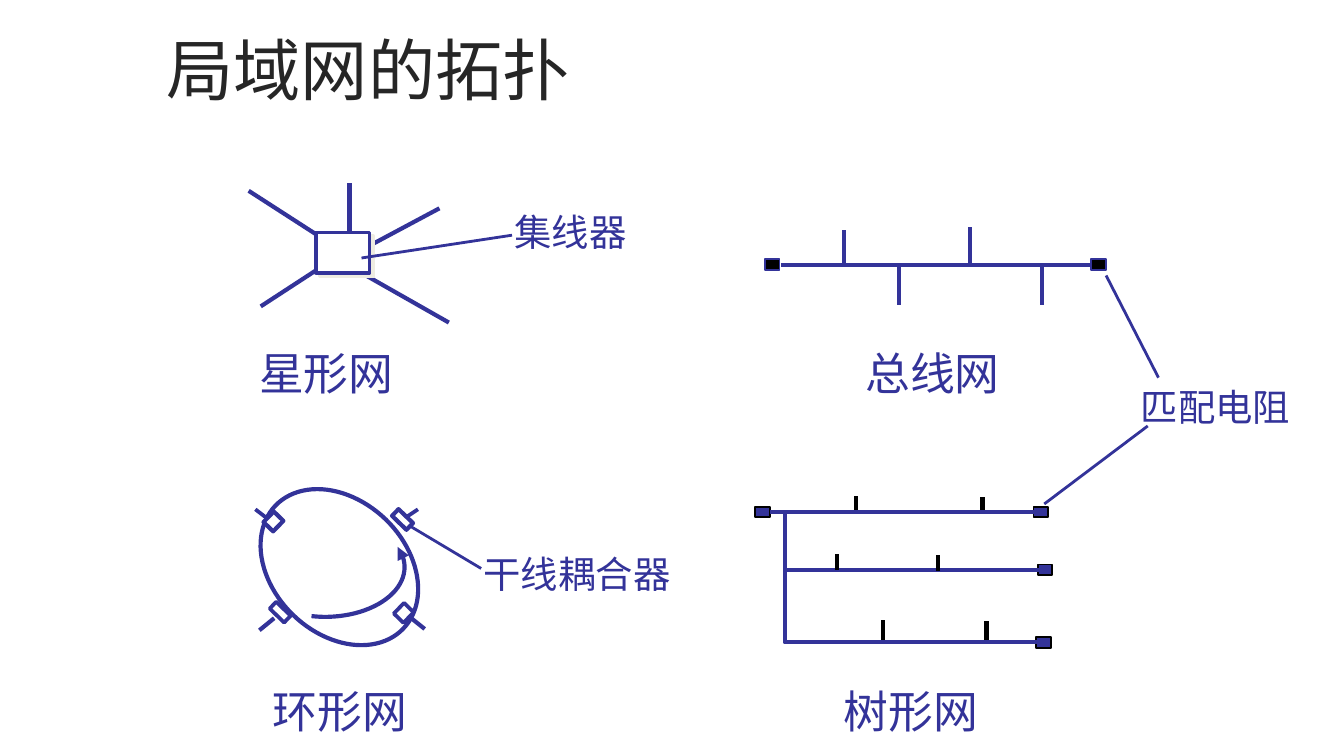
from math import cos, radians, sin

from lxml import etree
from pptx import Presentation
from pptx.dml.color import RGBColor
from pptx.enum.shapes import MSO_CONNECTOR as Connector, MSO_SHAPE as Shape
from pptx.enum.text import MSO_ANCHOR as Anchor, MSO_AUTO_SIZE as AutoSize
from pptx.oxml.ns import qn
from pptx.util import Inches, Pt

COLORS = {"title": "262626", "blue": "333399", "black": "000000",
          "white": "FFFFFF", "shadow": "EEECE1"}
SERIF = "Times New Roman"
SANS = "Noto Sans CJK SC"
PAGE_WIDTH = 10
PAGE_HEIGHT = PAGE_WIDTH * 9 / 16
TILT = 314
BUS_Y = 1.97
TRUNK_X = 5.84
BRANCH_Y = (3.81, 4.24, 4.78)


def color(name):
    return RGBColor.from_string(COLORS[name])


def set_line(shape, name, width):
    shape.line.color.rgb = color(name)
    shape.line.width = Pt(width)


def add_text(page, text, left, top, width, height, *, size, font,
             ink="blue", wrap=False, anchor=Anchor.TOP):
    box = page.shapes.add_textbox(*map(Inches, (left, top, width, height)))
    frame = box.text_frame
    frame.word_wrap = wrap
    frame.auto_size = AutoSize.NONE if wrap else AutoSize.SHAPE_TO_FIT_TEXT
    frame.vertical_anchor = anchor
    span = frame.paragraphs[0].add_run()
    span.text = text
    span.font.size = Pt(size)
    span.font.name = font
    span.font.color.rgb = color(ink)


def add_line(page, start, end, ink="blue", width=2.25):
    line = page.shapes.add_connector(
        Connector.STRAIGHT, *map(Inches, (*start, *end)))
    set_line(line, ink, width)
    etree.SubElement(line._element.spPr, qn("a:effectLst"))


def add_block(page, left, top, width, height, *, kind=Shape.RECTANGLE,
              fill="white", ink="blue", weight=2.25, rotation=0):
    block = page.shapes.add_shape(
        kind, *map(Inches, (left, top, width, height)))
    block.shadow.inherit = False
    block.rotation = rotation
    block.fill.solid()
    block.fill.fore_color.rgb = color(fill)
    set_line(block, ink, weight)
    return block


def add_path(page, points):
    """Draw an open, unfilled outline through the points."""
    start, *rest = [(Inches(x), Inches(y)) for x, y in points]
    builder = page.shapes.build_freeform(*start, scale=1.0)
    builder.add_line_segments(rest, close=False)
    outline = builder.convert_to_shape()
    outline.shadow.inherit = False
    outline.fill.background()
    set_line(outline, "blue", 2.25)
    return outline


def add_hard_shadow(shape):
    effects = shape._element.spPr.find(qn("a:effectLst"))
    shadow = etree.SubElement(effects, qn("a:outerShdw"), dist=str(Pt(2.8)),
                              dir="2700000", algn="ctr", rotWithShape="0")
    etree.SubElement(shadow, qn("a:srgbClr"), val=COLORS["shadow"])


def add_arrowhead(shape):
    etree.SubElement(shape.line._get_or_add_ln(), qn("a:tailEnd"),
                     type="triangle")


def draw_star(page):
    spokes = [((2.44, 1.8), (1.85, 1.42)), ((2.6, 1.8), (2.6, 1.36)),
              ((2.4, 1.98), (1.94, 2.28)), ((2.6, 1.98), (3.34, 2.4)),
              ((2.69, 1.86), (3.27, 1.55))]
    for start, end in spokes:
        add_line(page, start, end)
    add_hard_shadow(add_block(page, 2.35, 1.73, 0.4, 0.3, weight=2))
    add_line(page, (2.69, 1.92), (3.81, 1.75), width=1.5)


def draw_bus(page):
    add_line(page, (5.81, BUS_Y), (8.17, BUS_Y))
    for left in (5.69, 8.12):
        add_block(page, left, 1.93, 0.11, 0.08, fill="black", weight=1)
    for x, end in ((6.28, 1.71), (6.69, 2.27), (7.22, 1.69), (7.75, 2.27)):
        add_line(page, (x, BUS_Y), (x, end))


def draw_tree(page):
    top, middle, bottom = BRANCH_Y
    for left, y in ((5.62, top), (7.69, top), (7.72, middle), (7.71, bottom)):
        add_block(page, left, y - 0.04, 0.11, 0.08,
                  fill="blue", ink="black", weight=1)
    add_line(page, (TRUNK_X, middle), (7.8, middle))
    taps = [(6.37, 3.8, 0.11), (7.31, 3.81, 0.11), (6.23, middle, 0.12),
            (6.98, 4.25, 0.12), (6.57, bottom, 0.17), (7.34, bottom, 0.16)]
    for x, y, length in taps:
        add_line(page, (x, y), (x, y - length), ink="black")
    add_line(page, (5.73, top), (7.72, top))
    add_path(page, [(TRUNK_X, top), (TRUNK_X, bottom), (7.74, bottom)])


def draw_ring(page):
    stubs = [((2.03, 3.89), (1.9, 3.79), 2), ((3.11, 3.79), (2.99, 3.87), 2),
             ((3.16, 4.68), (3.01, 4.56), 2.25),
             ((2.04, 4.6), (1.93, 4.69), 2.25)]
    for start, end, width in stubs:
        add_line(page, start, end, width=width)
    add_block(page, 2.03, 3.56, 0.99, 1.32, kind=Shape.OVAL, rotation=TILT)
    couplers = [(1.98, 3.83, 0.11, 0.1, 2.25), (2.95, 4.51, 0.11, 0.1, 2),
                (2.96, 3.79, 0.07, 0.15, 2.25), (2.05, 4.48, 0.07, 0.15, 2)]
    for *place, weight in couplers:
        add_block(page, *place, weight=weight, rotation=TILT)
    add_line(page, (3.06, 3.92), (3.58, 4.23), width=1.5)
    angles = [radians(degrees) for degrees in range(100, -25, -4)]
    arc = [(2.42 + 0.59 * cos(a), 4.22 + 0.37 * sin(a)) for a in angles]
    add_arrowhead(add_path(page, arc))


def add_labels(page):
    for text, left, top, width in (("匹配电阻", 8.39, 2.81, 1.34),
                                   ("集线器", 3.73, 1.51, 1.05),
                                   ("干线耦合器", 3.5, 4.05, 1.62)):
        add_text(page, text, left, top, width, 0.44, size=20, font=SERIF)
    for text, left, top, width in (("总线网", 6.34, 2.52, 1.21),
                                   ("星形网", 1.83, 2.52, 1.21),
                                   ("树形网", 6.18, 5.04, 1.38),
                                   ("环形网", 1.93, 5.04, 1.21)):
        add_text(page, text, left, top, width, 0.5, size=24, font=SANS)


def main():
    deck = Presentation()
    deck.slide_width = Inches(PAGE_WIDTH)
    deck.slide_height = Inches(PAGE_HEIGHT)
    page = deck.slides.add_slide(deck.slide_layouts[6])
    add_text(page, "局域网的拓扑", 1.14, 0.23, 7.5, 0.63, size=36,
             font="Roboto Condensed", ink="title", wrap=True,
             anchor=Anchor.BOTTOM)
    draw_star(page)
    draw_bus(page)
    draw_tree(page)
    draw_ring(page)
    for start, end in (((8.23, 2.05), (8.62, 2.81)),
                       ((8.54, 3.17), (7.77, 3.75))):
        add_line(page, start, end, width=1.5)
    add_labels(page)
    deck.save("out.pptx")


if __name__ == "__main__":
    main()
